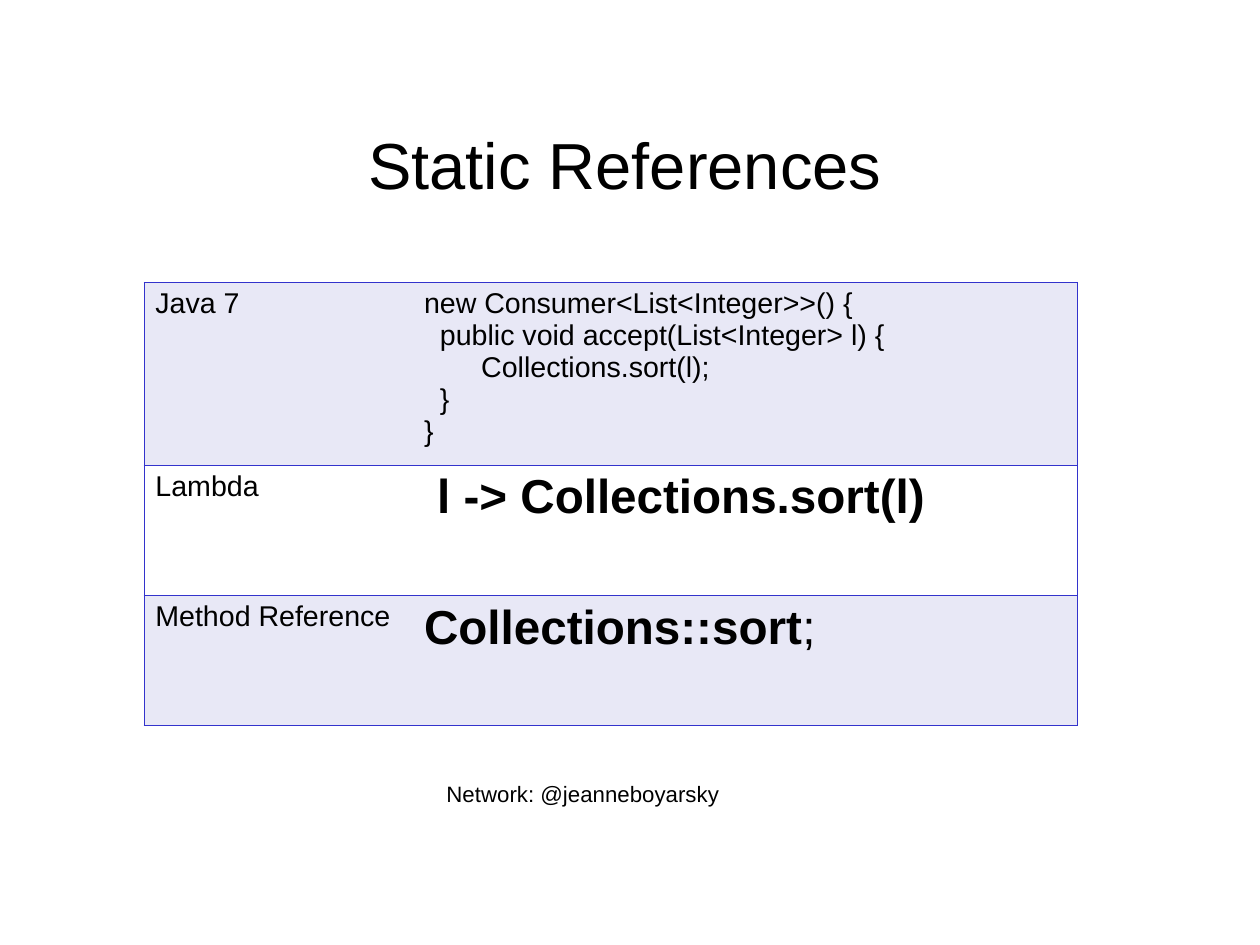
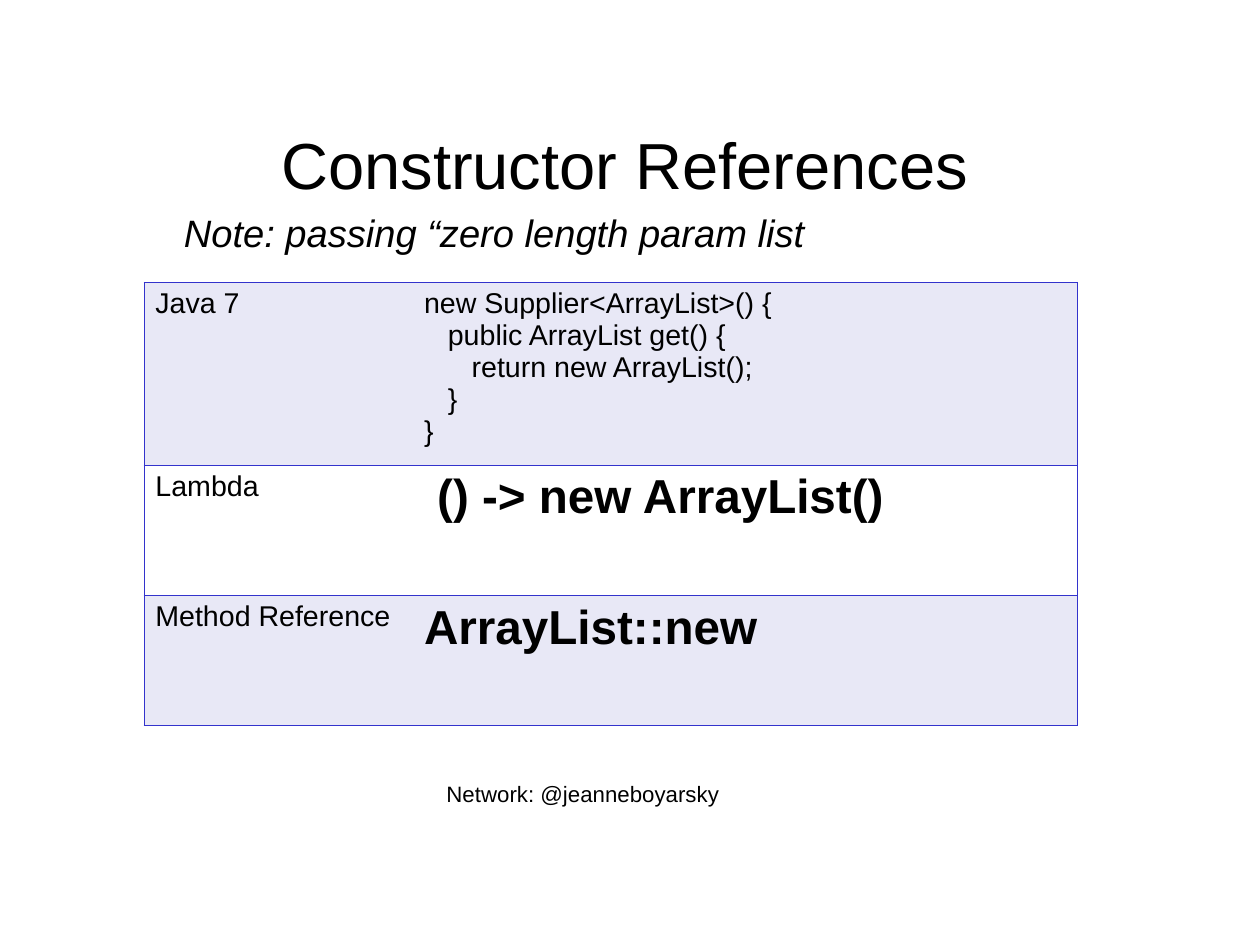
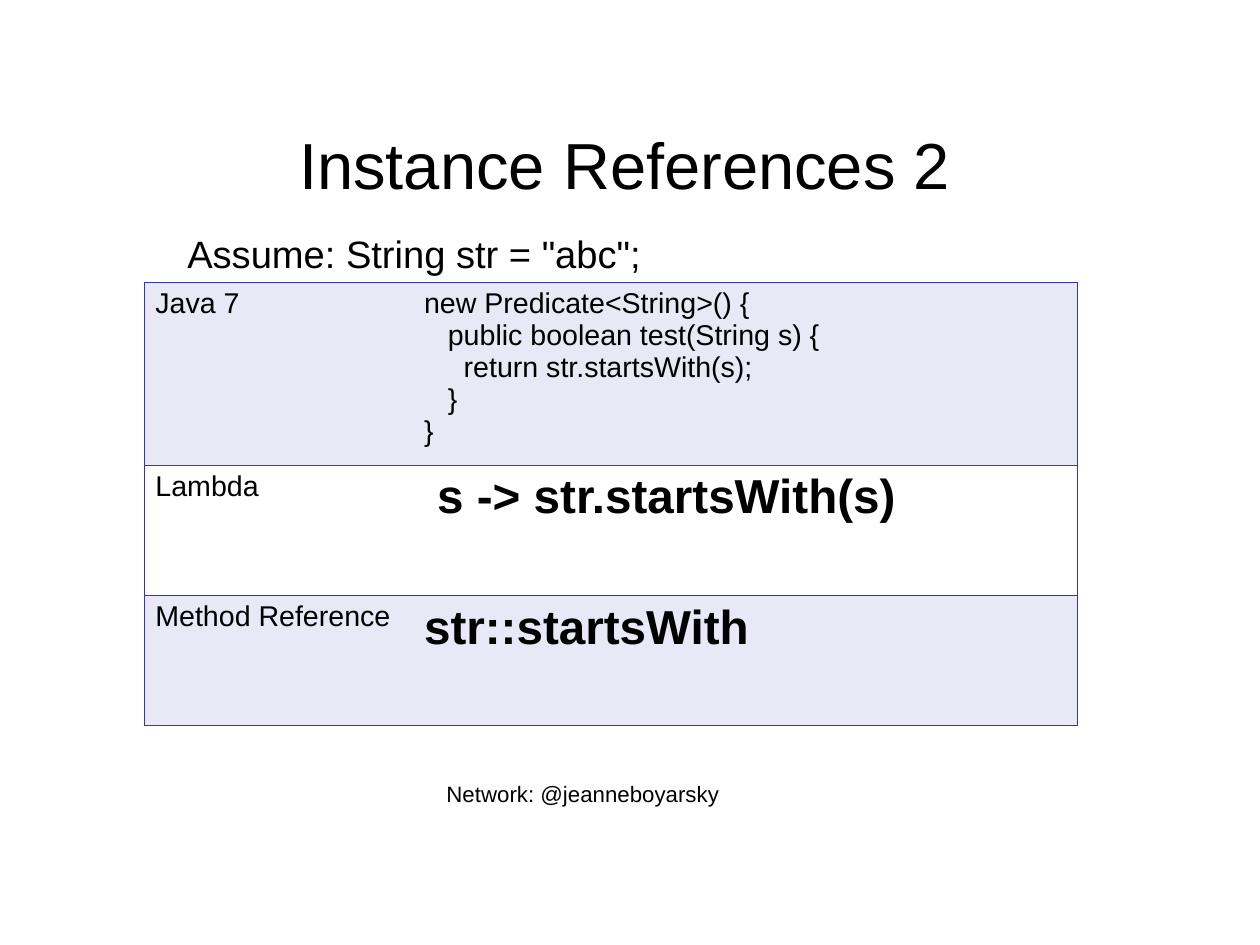
from lxml.etree import SubElement
from pptx import Presentation
from pptx.dml.color import RGBColor
from pptx.enum.text import MSO_ANCHOR as Anchor, MSO_AUTO_SIZE as AutoSize, PP_ALIGN as Align
from pptx.oxml.ns import qn
from pptx.util import Pt

BLACK = RGBColor(0x00, 0x00, 0x00)
WHITE = RGBColor(0xFF, 0xFF, 0xFF)
LAVENDER = RGBColor(0xE8, 0xE8, 0xF6)
BLUE = RGBColor(0x33, 0x33, 0xCC)

FONT = "Arial"
LINE_SPACING = 0.93
TITLE_ONLY = 5

TITLE_AREA = (65.5, 56.2, 656.6, 98.6)
FOOTER_AREA = (187.2, 489.6, 360, 23)
TABLE_CORNER = (90.7, 177.8)
COLUMN_WIDTHS = (169.2, 419)
ROW_HEIGHTS = (115.2, 82, 82)
ROW_FILLS = (LAVENDER, WHITE, LAVENDER)
ROW_LABELS = ("Java 7", "Lambda", "Method Reference")
BORDER_WIDTH = 0.45

FOOTER = "Network: @jeanneboyarsky"
LABEL = {"size": Pt(18), "bold": False}
CODE = LABEL
ANSWER = {"size": Pt(30), "bold": True}
LAMBDA_INDENT = 8.3

SLIDES = [
    {
        "title": "Static References",
        "code": [
            (0, "new Consumer<List<Integer>>() {"),
            (10, "public void accept(List<Integer> l) {"),
            (36, "Collections.sort(l);"),
            (10, "}"),
            (0, "}"),
        ],
        "lambda": "l -> Collections.sort(l)",
        "reference": "Collections::sort",
        "ending": ";",
    },
    {
        "title": "Constructor References",
        "code": [
            (0, "new Supplier<ArrayList>() {"),
            (15, "public ArrayList get() {"),
            (30, "return new ArrayList();"),
            (15, "}"),
            (0, "}"),
        ],
        "lambda": "() -> new ArrayList()",
        "reference": "ArrayList::new",
        "note": {
            "text": "Note: passing “zero length param list",
            "area": (108.7, 131, 558, 34),
            "italic": True,
            "spacing": LINE_SPACING,
        },
    },
    {
        "title": "Instance References 2",
        "code": [
            (0, "new Predicate<String>() {"),
            (15, "public boolean test(String s) {"),
            (25, "return str.startsWith(s);"),
            (15, "}"),
            (0, "}"),
        ],
        "lambda": "s -> str.startsWith(s)",
        "reference": "str::startsWith",
        "note": {
            "text": 'Assume: String str = "abc";',
            "area": (110.9, 141.8, 300, 36),
            "wrap": False,
        },
    },
]


def set_values(target, values):
    for name, value in values.items():
        setattr(target, name, value)


class ReferenceDeck:
    """Holds the shared style and the slide being filled."""

    def __init__(self):
        self.deck = Presentation()
        set_values(self.deck, {"slide_width": Pt(793.7), "slide_height": Pt(595.3)})
        self.slide = None

    def add_slide(self, title):
        self.slide = self.deck.slides.add_slide(self.deck.slide_layouts[TITLE_ONLY])
        box = self.slide.shapes.title
        set_values(box, dict(zip(("left", "top", "width", "height"), map(Pt, TITLE_AREA))))
        frame = box.text_frame
        margins = dict.fromkeys(("margin_left", "margin_top", "margin_right", "margin_bottom"), 0)
        set_values(frame, {"auto_size": AutoSize.NONE, "vertical_anchor": Anchor.MIDDLE,
                           "word_wrap": True, **margins})
        para = frame.paragraphs[0]
        set_values(para, {"alignment": Align.CENTER, "line_spacing": LINE_SPACING})
        self.add_span(para, title, {"size": Pt(41)})

    def add_span(self, para, text, values):
        span = para.add_run()
        span.text = text
        set_values(span.font, {"name": FONT, **values})
        span.font.color.rgb = BLACK

    def add_text(self, text, area, size, align=Align.LEFT, spacing=1.0, italic=False, wrap=True):
        box = self.slide.shapes.add_textbox(*map(Pt, area))
        set_values(box.text_frame, {"word_wrap": wrap, "auto_size": AutoSize.SHAPE_TO_FIT_TEXT})
        para = box.text_frame.paragraphs[0]
        set_values(para, {"alignment": align, "line_spacing": spacing})
        self.add_span(para, text, {"size": Pt(size), "italic": italic})

    def add_table(self, answers):
        """Adds the labelled table; each answer is a list of (indent, spans) lines."""
        size = (sum(COLUMN_WIDTHS), sum(ROW_HEIGHTS))
        table = self.slide.shapes.add_table(
            len(ROW_HEIGHTS), len(COLUMN_WIDTHS), *map(Pt, TABLE_CORNER + size)).table
        set_values(table, {"first_row": False, "horz_banding": False})
        for column, width in zip(table.columns, COLUMN_WIDTHS):
            column.width = Pt(width)
        for row, height, fill, label, lines in zip(
                table.rows, ROW_HEIGHTS, ROW_FILLS, ROW_LABELS, answers):
            row.height = Pt(height)
            label_cell, answer_cell = row.cells
            self.fill_cell(label_cell, [(0, [(label, LABEL)])], fill, open_side="R")
            self.fill_cell(answer_cell, lines, fill, open_side="L")

    def fill_cell(self, cell, lines, fill, open_side):
        self.add_borders(cell, open_side)
        cell.fill.solid()
        cell.fill.fore_color.rgb = fill
        frame = cell.text_frame
        for number, (indent, spans) in enumerate(lines):
            para = frame.add_paragraph() if number else frame.paragraphs[0]
            para._p.get_or_add_pPr().set("marL", str(Pt(indent)))
            for text, values in spans:
                self.add_span(para, text, values)

    def add_borders(self, cell, open_side):
        """Draws every cell edge except the open side."""
        properties = cell._tc.get_or_add_tcPr()
        for side in "LRTB":
            line = SubElement(properties, qn(f"a:ln{side}"), w=str(Pt(BORDER_WIDTH)))
            if side == open_side:
                SubElement(line, qn("a:noFill"))
            else:
                solid = SubElement(line, qn("a:solidFill"))
                SubElement(solid, qn("a:srgbClr"), val=str(BLUE))


def main():
    builder = ReferenceDeck()
    for content in SLIDES:
        builder.add_slide(content["title"])
        builder.add_text(FOOTER, FOOTER_AREA, 14, Align.CENTER, LINE_SPACING)
        reference = [(content["reference"], ANSWER)]
        if "ending" in content:
            reference.append((content["ending"], {**ANSWER, "bold": False}))
        builder.add_table([
            [(indent, [(text, CODE)]) for indent, text in content["code"]],
            [(LAMBDA_INDENT, [(content["lambda"], ANSWER)])],
            [(0, reference)],
        ])
        if "note" in content:
            builder.add_text(size=24, **content["note"])
    builder.deck.save("out.pptx")


if __name__ == "__main__":
    main()
